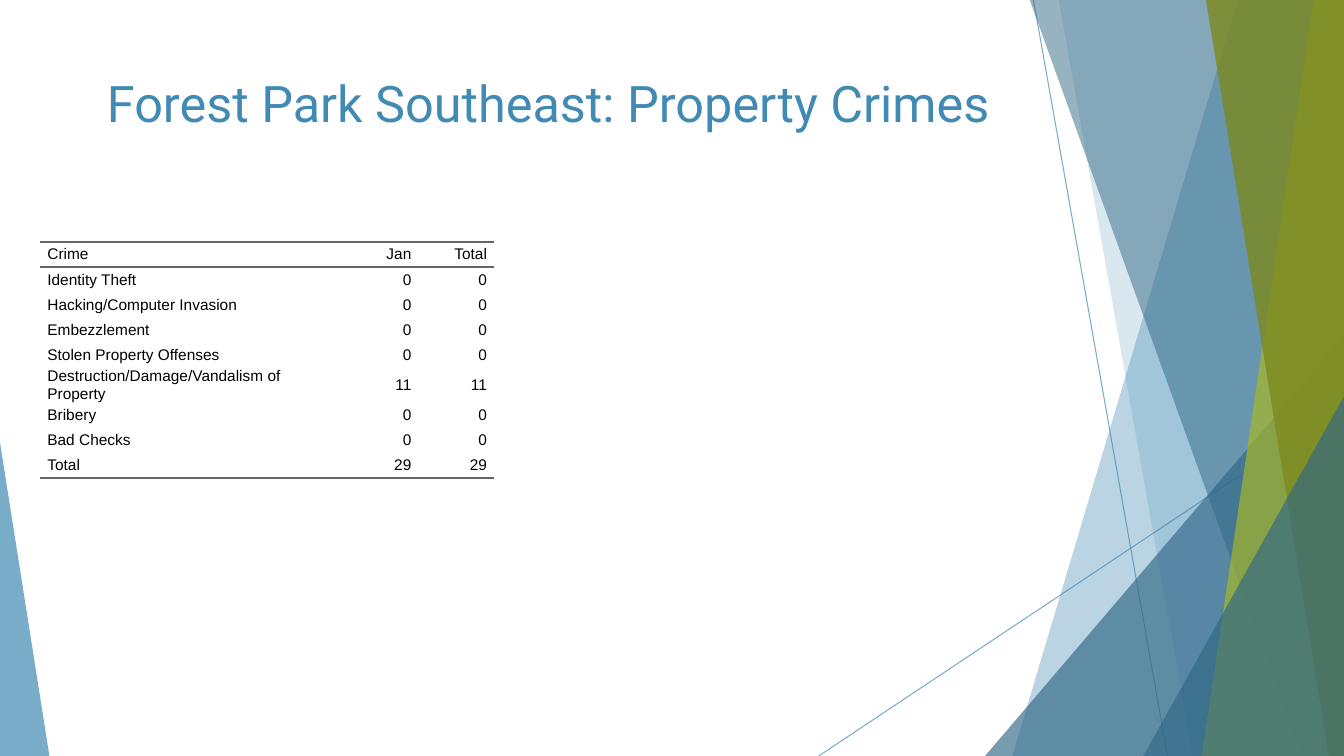
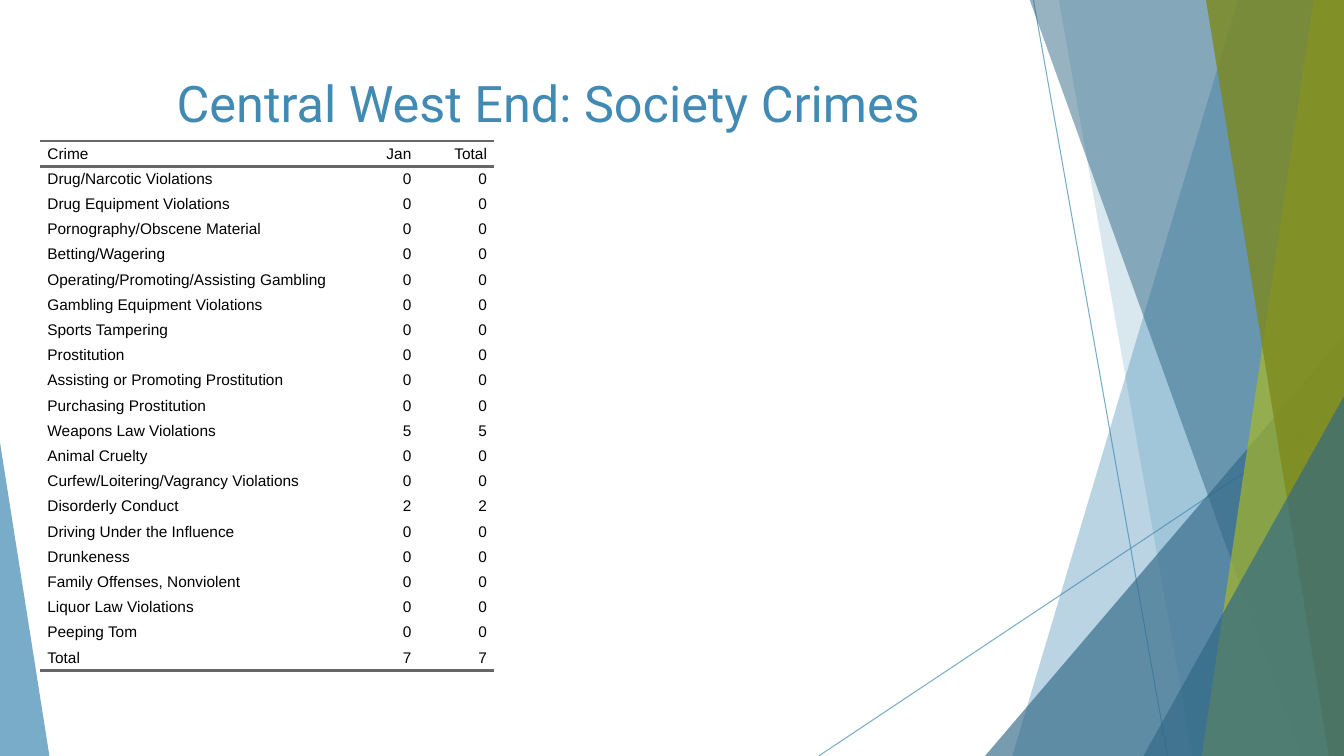
from dataclasses import dataclass

from lxml.etree import SubElement
from pptx import Presentation
from pptx.dml.color import RGBColor
from pptx.enum.shapes import MSO_CONNECTOR, MSO_SHAPE
from pptx.enum.text import MSO_ANCHOR, MSO_AUTO_SIZE, PP_ALIGN
from pptx.oxml import parse_xml
from pptx.oxml.ns import nsdecls, qn
from pptx.util import Pt

PX = 9144  # EMU per px, 100 px to the inch
W, H = 1333, 750


@dataclass(frozen=True)
class Theme:
    blue: str = "418AB3"
    navy: str = "316886"
    lime: str = "A6B727"
    olive: str = "7D891D"
    rule: str = "666666"
    ink: str = "000000"
    title_font: str = "Roboto"
    table_font: str = "Arial"
    title_size: int = 36
    table_size: int = 11
    rule_width: int = 2
    thin_line: float = 0.75
    para_gap: int = 5
    no_table_style: str = "{2D5ABB26-0587-4C30-8999-92F81FD0307C}"


T = Theme()


def set_alpha(shape, percent):
    for clr in shape.element.iter(qn("a:srgbClr")):
        SubElement(clr, qn("a:alpha")).set("val", str(percent * 1000))


def add_run(p, text, font, size, color):
    r = p.add_run()
    r.text = text
    r.font.name, r.font.size = font, Pt(size)
    r.font.color.rgb = RGBColor.from_string(color)


# Content: title, table top, rows of crime and count
pages = [
    ("Forest Park Southeast: Property Crimes", 240, [
        ("Identity Theft", 0),
        ("Hacking/Computer Invasion", 0),
        ("Embezzlement", 0),
        ("Stolen Property Offenses", 0),
        ("Destruction/Damage/Vandalism of Property", 11),
        ("Bribery", 0),
        ("Bad Checks", 0),
        ("Total", 29),
    ]),
    ("Central West End: Society Crimes", 140, [
        ("Drug/Narcotic Violations", 0),
        ("Drug Equipment Violations", 0),
        ("Pornography/Obscene Material", 0),
        ("Betting/Wagering", 0),
        ("Operating/Promoting/Assisting Gambling", 0),
        ("Gambling Equipment Violations", 0),
        ("Sports Tampering", 0),
        ("Prostitution", 0),
        ("Assisting or Promoting Prostitution", 0),
        ("Purchasing Prostitution", 0),
        ("Weapons Law Violations", 5),
        ("Animal Cruelty", 0),
        ("Curfew/Loitering/Vagrancy Violations", 0),
        ("Disorderly Conduct", 2),
        ("Driving Under the Influence", 0),
        ("Drunkeness", 0),
        ("Family Offenses, Nonviolent", 0),
        ("Liquor Law Violations", 0),
        ("Peeping Tom", 0),
        ("Total", 7),
    ]),
]

# Presentation and shared title position
prs = Presentation()
prs.slide_width, prs.slide_height = W * PX, H * PX
layout = prs.slide_layouts[5]
title = layout.placeholders[0]
title.left, title.top, title.width, title.height = 74 * PX, 67 * PX, 940 * PX, 144 * PX
slides = [prs.slides.add_slide(layout) for _ in pages]

# Facets: thin lines, bands to the right edge, corner triangles
facets = slides[0].shapes.add_group_shape()
for ends in [(1025, 0, 1158, H), (W, 403, 812, H)]:
    line = facets.shapes.add_connector(MSO_CONNECTOR.STRAIGHT, *[v * PX for v in ends])
    line.line.width = Pt(T.thin_line)
    line.line.color.rgb = RGBColor.from_string(T.blue)
    SubElement(line.element.spPr, qn("a:effectLst"))
    set_alpha(line, 70)

# Bands give top x and bottom x; triangles give left, top, width and apex
pieces = [
    ("band", (1228, 1004), T.blue, 36),
    ("band", (1050, 1183), T.blue, 20),
    ("triangle", (977, 333, 356, 1), T.navy, 66),
    ("band", (1021, 1291), T.navy, 50),
    ("band", (1303, 1192), T.lime, 70),
    ("band", (1196, 1318), T.olive, 80),
    ("triangle", (1134, 393, 199, 1), T.navy, 66),
    ("triangle", (0, 439, 49, 0), T.blue, 70),
]
for kind, dims, color, alpha in pieces:
    if kind == "band":
        x_top, x_bottom = dims
        fb = facets.shapes.build_freeform(x_top, -1, scale=PX)
        fb.add_line_segments([(W, -1), (W, H), (x_bottom, H)], close=True)
        sp = fb.convert_to_shape()
    else:
        x, y, w, apex = dims
        sp = facets.shapes.add_shape(MSO_SHAPE.ISOSCELES_TRIANGLE,
                                     x * PX, y * PX, w * PX, (H - y) * PX)
        sp.adjustments[0] = apex
    sp.shadow.inherit = False
    sp.fill.solid()
    sp.fill.fore_color.rgb = RGBColor.from_string(color)
    sp.line.fill.background()
    set_alpha(sp, alpha)

# The layout carries the facets for every slide
for i, props in enumerate(facets.element.iter(qn("p:cNvPr")), 100):
    props.set("id", str(i))
layout.shapes.element.insert(2, facets.element)

# Slides
for s, (heading, top, crimes) in zip(slides, pages):
    title = s.shapes.title
    tf = title.text_frame
    tf.vertical_anchor, tf.auto_size = MSO_ANCHOR.TOP, MSO_AUTO_SIZE.NONE
    tf.word_wrap = True
    p = tf.paragraphs[0]
    p.alignment = PP_ALIGN.CENTER
    add_run(p, heading, T.title_font, T.title_size, T.blue)

    # Crime table, beneath the title
    rows = [("Crime", "Jan", "Total")] + [(name, str(n), str(n)) for name, n in crimes]
    frame = s.shapes.add_table(len(rows), 3, 40 * PX, top * PX, 450 * PX, len(rows) * 25 * PX)
    title.element.addprevious(frame.element)
    table = frame.table
    table.first_row = table.horz_banding = False
    for style in frame.element.iter(qn("a:tableStyleId")):
        style.text = T.no_table_style
    for col, w in zip(table.columns, (300, 75, 75)):
        col.width = w * PX

    for i, row in enumerate(rows):
        table.rows[i].height = 25 * PX
        sides = {0: ("lnT", "lnB"), len(rows) - 1: ("lnB",)}.get(i, ())
        for j, text in enumerate(row):
            cell = table.cell(i, j)
            cell.margin_left = cell.margin_right = cell.margin_top = cell.margin_bottom = 0
            cell.vertical_anchor = MSO_ANCHOR.MIDDLE
            cell.fill.background()
            p = cell.text_frame.paragraphs[0]
            p.alignment = PP_ALIGN.RIGHT if j else PP_ALIGN.LEFT
            p.space_before = p.space_after = Pt(T.para_gap)
            add_run(p, text, T.table_font, T.table_size, T.ink)
            pPr = p._p.get_or_add_pPr()
            for key in ("marL", "marR"):
                pPr.set(key, str(7 * PX))
            for k, side in enumerate(sides):
                cell._tc.get_or_add_tcPr().insert(k, parse_xml(
                    f'<a:{side} {nsdecls("a")} w="{Pt(T.rule_width)}"><a:solidFill>'
                    f'<a:srgbClr val="{T.rule}"/></a:solidFill></a:{side}>'))

prs.save("out.pptx")
